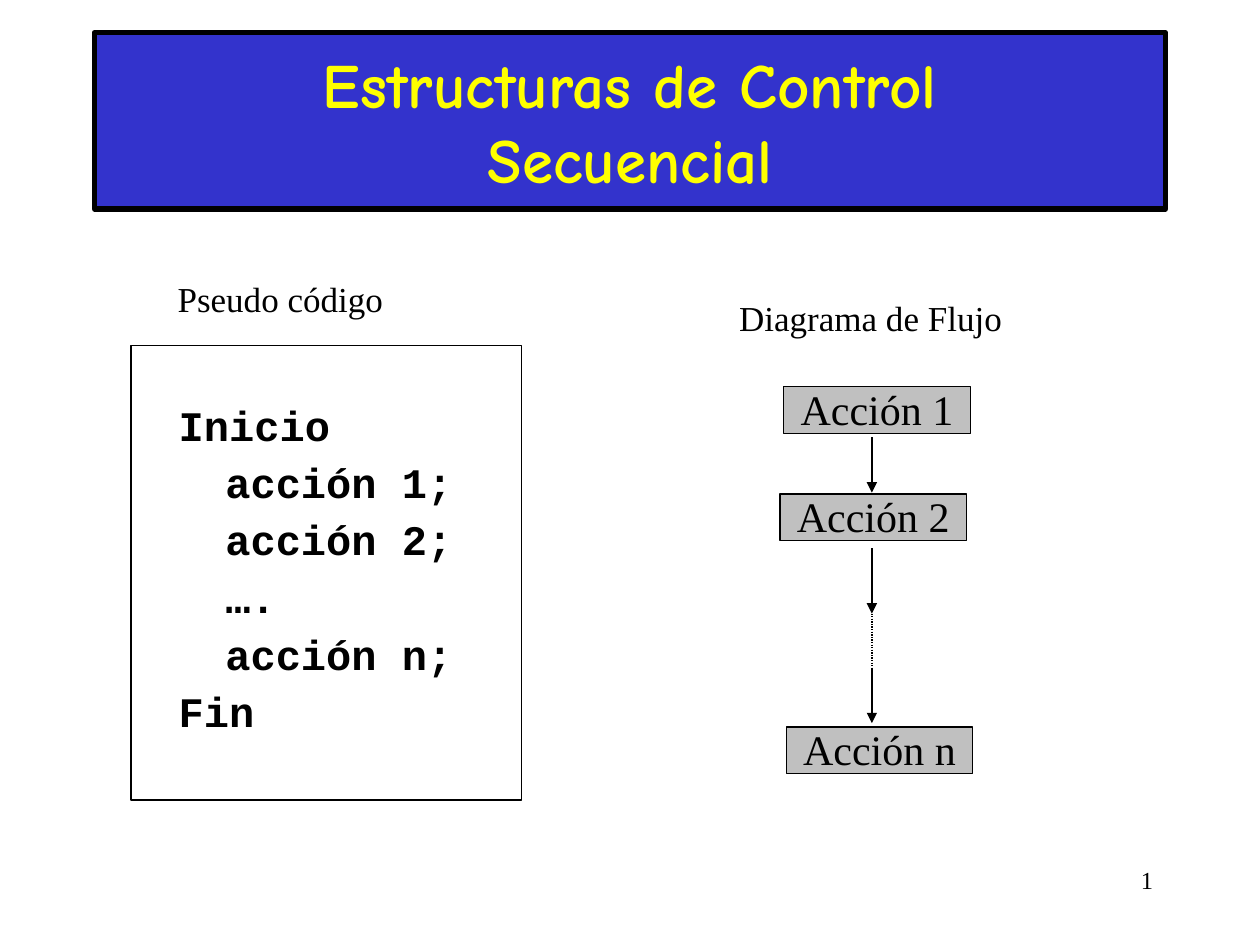
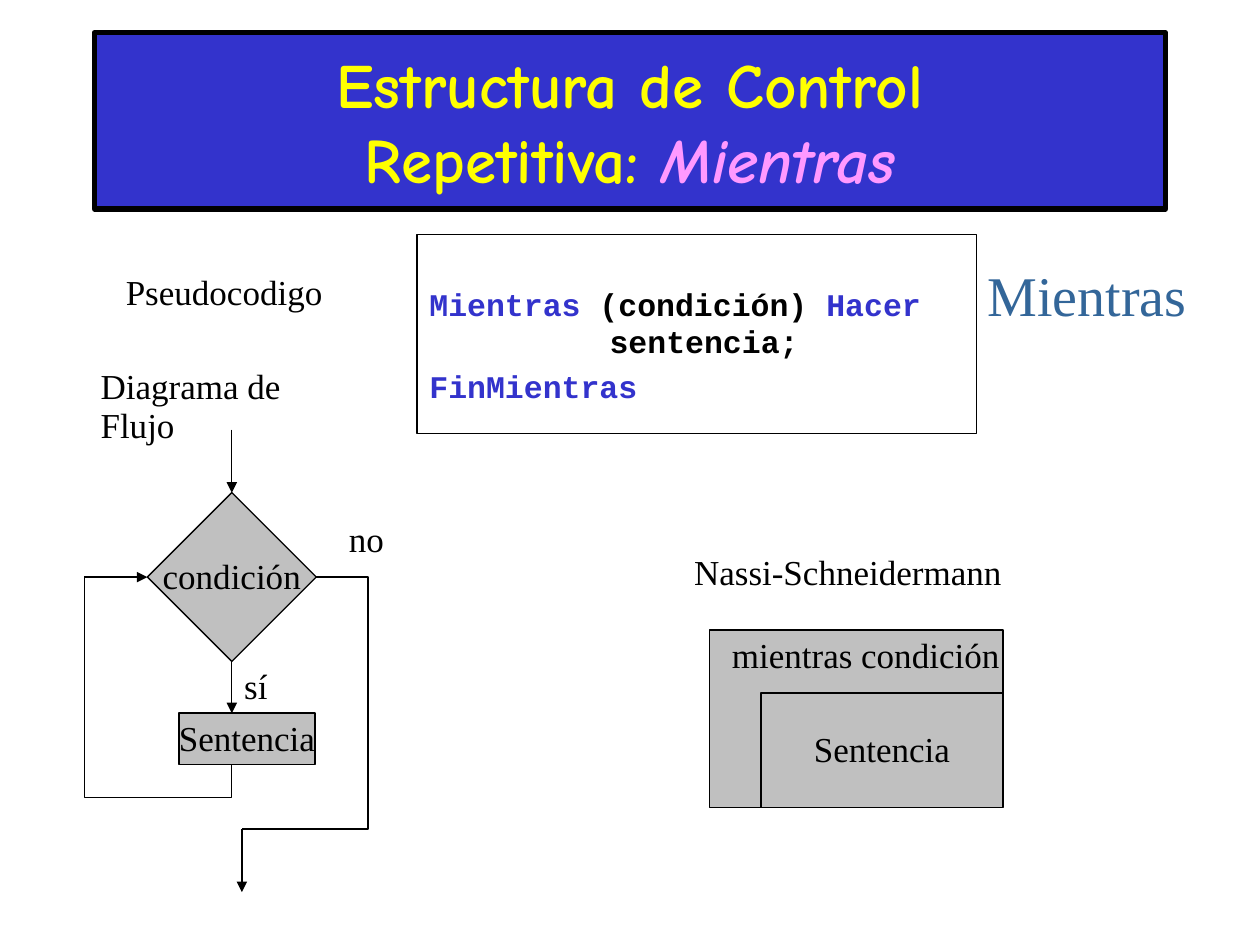
from dataclasses import dataclass
from typing import Optional

from lxml import etree
from pptx import Presentation
from pptx.dml.color import RGBColor
from pptx.enum.dml import MSO_LINE
from pptx.enum.shapes import MSO_CONNECTOR, MSO_SHAPE
from pptx.enum.text import MSO_ANCHOR, PP_ALIGN
from pptx.oxml.ns import qn
from pptx.util import Inches, Pt

RECTANGLE = MSO_SHAPE.RECTANGLE
DECISION = MSO_SHAPE.FLOWCHART_DECISION
STRAIGHT = MSO_CONNECTOR.STRAIGHT
DOTTED = MSO_LINE.ROUND_DOT
LEFT, CENTER, RIGHT = PP_ALIGN.LEFT, PP_ALIGN.CENTER, PP_ALIGN.RIGHT
TOP, MIDDLE = MSO_ANCHOR.TOP, MSO_ANCHOR.MIDDLE
SITE_TOP, SITE_LEFT, SITE_BOTTOM = 0, 1, 2

COLORS = {
    "band": "3333CC",
    "title": "FFFF00",
    "accent": "FF99FF",
    "keyword": "3333CC",
    "heading": "336699",
    "ink": "000000",
    "block": "C0C0C0",
}
TITLE_FONT = "Comic Neue"
CODE_FONT = "Courier New"
BODY_FONT = "Times New Roman"
LOOSE, TIGHT = 1.2, 1.115
THIN = 0.75


@dataclass(frozen=True)
class Style:
    font: str
    size: float
    spacing: float = TIGHT
    bold: bool = False


@dataclass(frozen=True)
class Span:
    text: str
    color: str = "ink"
    italic: bool = False


@dataclass(frozen=True)
class Line:
    spans: tuple[Span, ...]
    indent: float = 0
    before: float = 0


@dataclass(frozen=True)
class Box:
    left: float
    top: float
    width: float
    height: float


@dataclass(frozen=True)
class Label:
    text: str
    box: Box
    align: PP_ALIGN = LEFT
    style: Style = Style(BODY_FONT, 20)
    color: str = "ink"


@dataclass(frozen=True)
class Arrow:
    start: tuple[float, float]
    end: tuple[float, float]
    head: bool = True


TITLE_STYLE = Style(TITLE_FONT, 36, LOOSE, True)
LABEL_STYLE = Style(BODY_FONT, 20)
ACTION_STYLE = Style(BODY_FONT, 24)
TITLE_BOX = Box(0.75, 0.26, 8.5, 1.4)


def rgb(name: str) -> RGBColor:
    return RGBColor.from_string(COLORS[name])


def write(frame, lines: list[Line], style: Style, align=LEFT, anchor=TOP,
          inset=(0.1, 0.05), wrap=True) -> None:
    frame.word_wrap = wrap
    frame.vertical_anchor = anchor
    frame.margin_left = frame.margin_right = Inches(inset[0])
    frame.margin_top = frame.margin_bottom = Inches(inset[1])
    for index, line in enumerate(lines):
        paragraph = frame.paragraphs[0] if index == 0 else frame.add_paragraph()
        paragraph.alignment = align
        paragraph.line_spacing = Pt(style.size * style.spacing)
        paragraph.space_before = Pt(line.before)
        if line.indent:
            paragraph._p.get_or_add_pPr().set("marL", str(Inches(line.indent)))
        for span in line.spans:
            run = paragraph.add_run()
            run.text = span.text
            run.font.name = style.font
            run.font.size = Pt(style.size)
            run.font.bold = style.bold
            run.font.italic = span.italic
            run.font.color.rgb = rgb(span.color)


def paint(shape, fill: Optional[str], weight: float = THIN) -> None:
    shape.shadow.inherit = False
    if fill:
        shape.fill.solid()
        shape.fill.fore_color.rgb = rgb(fill)
    else:
        shape.fill.background()
    shape.line.color.rgb = rgb("ink")
    shape.line.width = Pt(weight)


def add_block(slide, box: Box, fill: Optional[str] = "block", kind=RECTANGLE,
              weight: float = THIN):
    block = slide.shapes.add_shape(kind, Inches(box.left), Inches(box.top),
                                   Inches(box.width), Inches(box.height))
    paint(block, fill, weight)
    return block


def add_caption_block(slide, box: Box, caption: str, style: Style = LABEL_STYLE,
                      kind=RECTANGLE):
    block = add_block(slide, box, kind=kind)
    write(block.text_frame, [Line((Span(caption),))], style, CENTER, MIDDLE,
          inset=(0, 0), wrap=False)
    return block


def add_text(slide, box: Box, lines: list[Line], style: Style, align=LEFT) -> None:
    text = slide.shapes.add_textbox(Inches(box.left), Inches(box.top),
                                    Inches(box.width), Inches(box.height))
    write(text.text_frame, lines, style, align)


def add_label(slide, label: Label) -> None:
    add_text(slide, label.box, [Line((Span(label.text, label.color),))],
             label.style, label.align)


def add_title(slide, lines: list[Line]) -> None:
    band = add_block(slide, TITLE_BOX, "band", weight=3)
    write(band.text_frame, lines, TITLE_STYLE, CENTER, MIDDLE)


def add_arrow(slide, arrow: Arrow):
    connector = slide.shapes.add_connector(
        STRAIGHT, *(Inches(value) for value in arrow.start + arrow.end))
    connector.line.color.rgb = rgb("ink")
    connector.line.width = Pt(THIN)
    if arrow.head:
        etree.SubElement(connector.line._get_or_add_ln(), qn("a:tailEnd"),
                         type="triangle")
    else:
        connector.line.dash_style = DOTTED
    etree.SubElement(connector._element.spPr, qn("a:effectLst"))
    return connector


def add_outline(slide, points: list[tuple[float, float]],
                fill: Optional[str] = None) -> None:
    corners = [(Inches(x), Inches(y)) for x, y in points]
    builder = slide.shapes.build_freeform(*corners[0])
    builder.add_line_segments(corners[1:], close=fill is not None)
    paint(builder.convert_to_shape(), fill)


def build_sequential(slide) -> None:
    add_label(slide, Label("1", Box(7.17, 6.83, 2.08, 0.32), RIGHT,
                           Style(BODY_FONT, 14)))
    add_title(slide, [Line((Span("Estructuras de Control", "title"),)),
                      Line((Span("Secuencial", "title"),))])

    add_block(slide, Box(1.04, 2.74, 3.1, 3.61), None)
    steps = ["acción 1;", "acción 2;", "….", "acción n;"]
    code = [Line((Span("Inicio"),))]
    code += [Line((Span(step),), 0.37, 3.9) for step in steps]
    code.append(Line((Span("Fin"),), before=3.9))
    add_text(slide, Box(1.32, 3.12, 2.68, 2.8), code,
             Style(CODE_FONT, 24, LOOSE, True))

    add_label(slide, Label("Diagrama de Flujo", Box(5.51, 2.33, 2.8, 0.41), CENTER))
    add_label(slide, Label("Pseudo código", Box(0.98, 2.18, 2.49, 0.41), CENTER))

    for caption, left, top in [("Acción 1", 6.22, 3.07), ("Acción 2", 6.19, 3.92),
                               ("Acción n", 6.24, 5.77)]:
        add_caption_block(slide, Box(left, top, 1.48, 0.37), caption, ACTION_STYLE)

    flow_x = 6.92
    for start, end, head in [(3.47, 3.91, True), (4.35, 4.87, True),
                             (4.87, 5.33, False), (5.31, 5.74, True)]:
        add_arrow(slide, Arrow((flow_x, start), (flow_x, end), head))


def build_while(slide) -> None:
    add_title(slide, [Line((Span("Estructura de Control", "title"),)),
                      Line((Span("Repetitiva: ", "title"),
                            Span("Mientras", "accent", True)))])

    sentence_box = Box(1.42, 5.66, 1.08, 0.41)
    add_caption_block(slide, sentence_box, "Sentencia")
    condition = add_caption_block(slide, Box(1.17, 3.91, 1.34, 1.34), "condición",
                                  kind=DECISION)

    flow_x, condition_y = 1.84, 4.58
    loop_x, loop_y = 0.67, 6.33
    exit_x, exit_y = 1.92, 6.58
    entry = add_arrow(slide, Arrow((flow_x, 3.41), (flow_x, 3.91)))
    entry.end_connect(condition, SITE_TOP)
    yes = add_arrow(slide, Arrow((flow_x, 5.25), (flow_x, sentence_box.top)))
    yes.begin_connect(condition, SITE_BOTTOM)
    add_outline(slide, [(2.51, condition_y), (2.92, condition_y),
                        (2.92, exit_y), (exit_x, exit_y)])
    add_arrow(slide, Arrow((exit_x, exit_y), (exit_x, 7.08)))
    add_outline(slide, [(flow_x, 6.07), (flow_x, loop_y),
                        (loop_x, loop_y), (loop_x, condition_y)])
    repeat = add_arrow(slide, Arrow((loop_x, condition_y), (1.17, condition_y)))
    repeat.end_connect(condition, SITE_LEFT)

    add_caption_block(slide, Box(6.04, 5.5, 1.92, 0.91), "Sentencia")
    add_outline(slide, [(5.63, 5), (7.96, 5), (7.96, 5.5), (6.04, 5.5),
                        (6.04, 6.41), (5.63, 6.41)], "block")

    add_block(slide, Box(3.31, 1.86, 4.44, 1.58), None)
    code = [
        Line((Span("Mientras", "keyword"), Span(" (condición) "),
              Span("Hacer", "keyword"))),
        Line((Span("sentencia;"),), 1.43),
        Line((Span("FinMientras", "keyword"),), before=3.9),
    ]
    add_text(slide, Box(3.31, 2.21, 4.44, 1.1), code,
             Style(CODE_FONT, 18, LOOSE, True))

    labels = [
        Label("Diagrama de Flujo", Box(0.7, 2.87, 2, 0.72)),
        Label("Nassi-Schneidermann", Box(5.41, 4.34, 2.89, 0.41)),
        Label("sí", Box(1.84, 5.25, 0.5, 0.41)),
        Label("no", Box(2.67, 4.08, 0.58, 0.41)),
        Label("mientras condición", Box(5.71, 5, 2.75, 0.41)),
        Label("Pseudocodigo", Box(0.9, 2.1, 2, 0.44),
              style=Style(BODY_FONT, 20, LOOSE)),
        Label("Mientras", Box(7.74, 2.02, 1.9, 0.63),
              style=Style(BODY_FONT, 32, LOOSE), color="heading"),
    ]
    for label in labels:
        add_label(slide, label)


def main() -> None:
    presentation = Presentation()
    presentation.slide_width = Inches(10)
    presentation.slide_height = Inches(7.5)
    blank = presentation.slide_layouts[6]
    for build in (build_sequential, build_while):
        build(presentation.slides.add_slide(blank))
    presentation.save("out.pptx")


if __name__ == "__main__":
    main()
